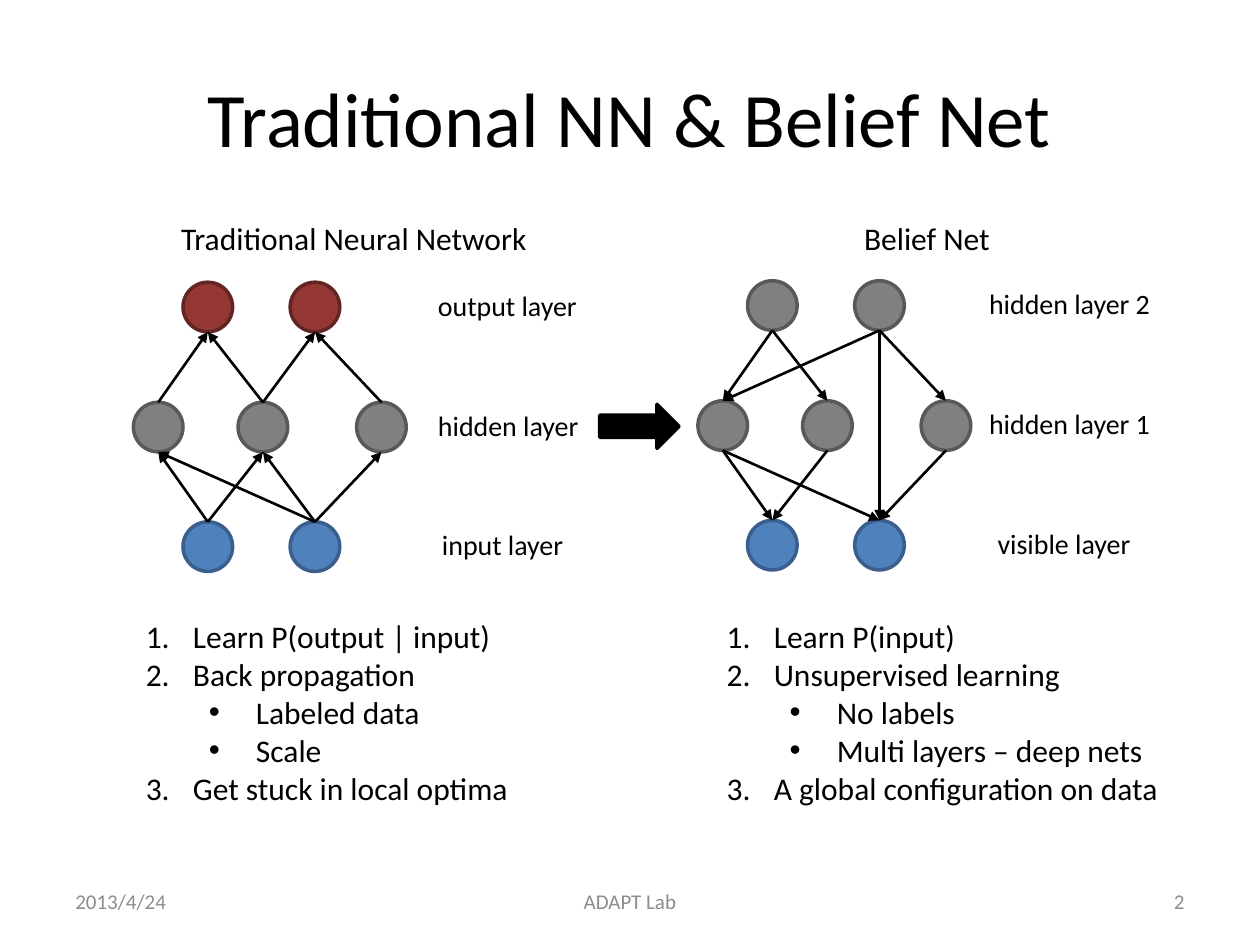
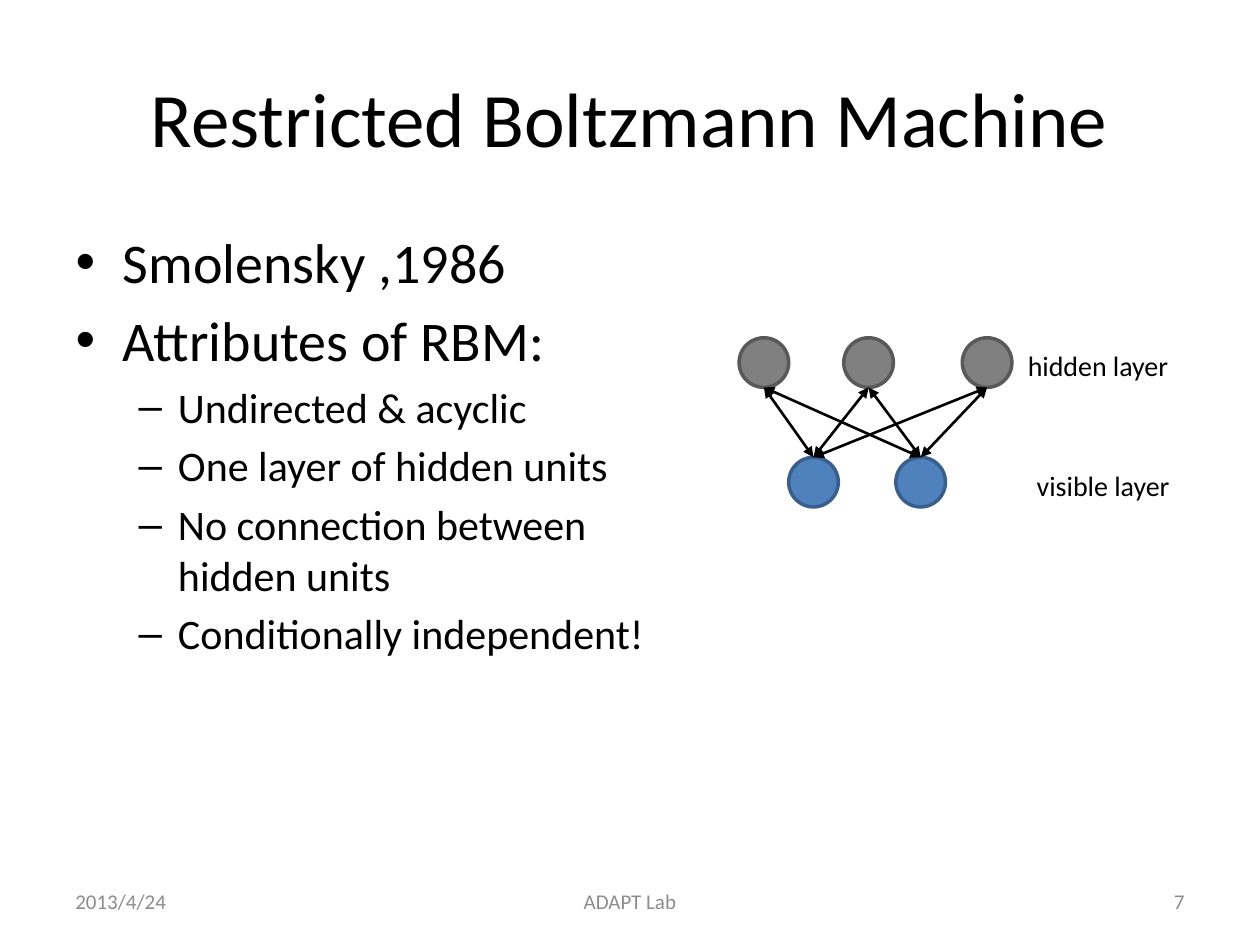
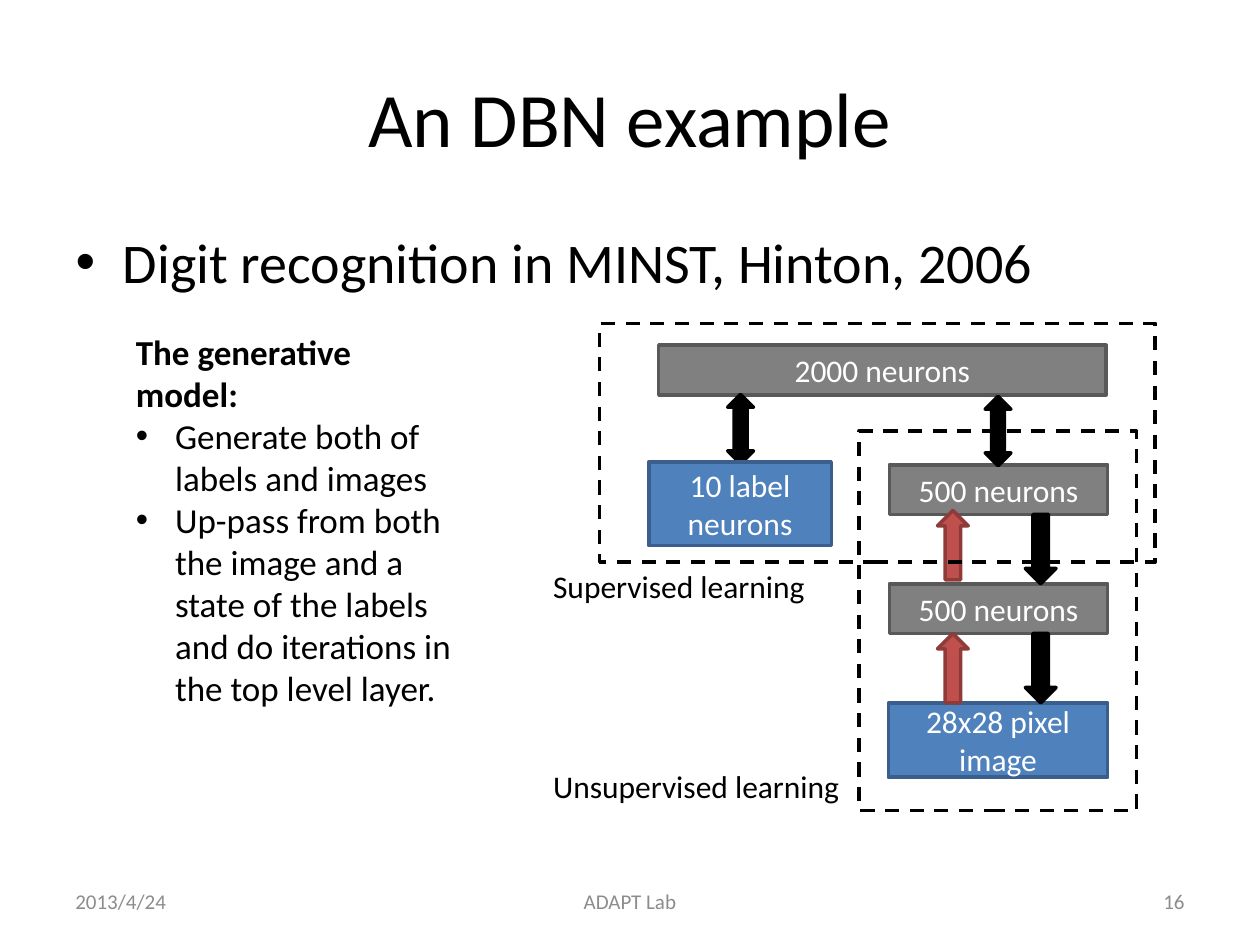
"""Build three slides on neural networks, belief nets and Boltzmann machines."""
from lxml.etree import SubElement
from pptx import Presentation
from pptx.dml.color import RGBColor
from pptx.enum.dml import MSO_LINE
from pptx.enum.shapes import MSO_CONNECTOR, MSO_SHAPE
from pptx.enum.text import MSO_ANCHOR, PP_ALIGN
from pptx.oxml.ns import qn
from pptx.util import Cm, Pt

FONT = "Calibri"
BLACK, WHITE, MUTED = "000000", "FFFFFF", "8C8C8C"
GRAY, BLUE = ("808080", "595959"), ("4F81BD", "3A5F8C")
DARK_RED, RED = ("953735", "632523"), ("C0504D", "8E3B39")
SOLID, DASHED = (BLACK, BLACK), (None, BLACK)


def fill_text(tf, paras, size, color=BLACK, align=PP_ALIGN.LEFT, anchor=MSO_ANCHOR.TOP, wrap=True):
    """Write paragraphs given as (words, bullet, left, hang, bold)."""
    tf.word_wrap = wrap
    tf.vertical_anchor = anchor
    for i, (words, bullet, left, hang, bold) in enumerate(paras):
        p = tf.paragraphs[0] if i == 0 else tf.add_paragraph()
        p.alignment = align
        if bullet:
            p.level = 1 if left > hang else 0
            pPr = p._p.get_or_add_pPr()
            pPr.set("marL", str(Cm(left)))
            pPr.set("indent", str(-Cm(hang)))
            if bullet == "1.":
                SubElement(pPr, qn("a:buFont"), typeface="+mj-lt")
                SubElement(pPr, qn("a:buAutoNum"), type="arabicPeriod")
            else:
                SubElement(pPr, qn("a:buFont"), typeface="Arial")
                SubElement(pPr, qn("a:buChar"), char=bullet)
        r = p.add_run()
        r.text = words
        r.font.name, r.font.size, r.font.bold = FONT, Pt(size), bold
        r.font.color.rgb = RGBColor.from_string(color)


def add_shape(s, kind, x, y, w, h, colors, label=""):
    """Add a filled or dashed shape, with an optional centred label."""
    sp = s.shapes.add_shape(kind, Cm(x), Cm(y), Cm(w), Cm(h))
    sp.shadow.inherit = False
    fill, line = colors
    if fill:
        sp.fill.solid()
        sp.fill.fore_color.rgb = RGBColor.from_string(fill)
    else:
        sp.fill.background()
        sp.line.dash_style = MSO_LINE.DASH
    sp.line.color.rgb = RGBColor.from_string(line)
    sp.line.width = Pt(2)
    if label:
        fill_text(sp.text_frame, [(label, "", 0, 0, False)], 18, WHITE,
                  PP_ALIGN.CENTER, MSO_ANCHOR.MIDDLE)


prs = Presentation()
prs.slide_width, prs.slide_height = Cm(25.4), Cm(19.05)

pages = [
    ("Traditional NN & Belief Net", "2", 0, []),
    ("Restricted Boltzmann Machine", "7", 12.42, [
        ("Smolensky ,1986", 0),
        ("Attributes of RBM:", 0),
        ("Undirected & acyclic", 1),
        ("One layer of hidden units", 1),
        ("No connection between hidden units", 1),
        ("Conditionally independent!", 1),
    ]),
    ("An DBN example", "16", 22.86, [("Digit recognition in MINST, Hinton, 2006", 0)]),
]
slides = []
for title, number, body_width, items in pages:
    s = prs.slides.add_slide(prs.slide_layouts[1 if items else 5])
    slides.append(s)
    sp = s.shapes.title
    sp.left, sp.top, sp.width, sp.height = Cm(1.27), Cm(0.76), Cm(22.86), Cm(3.18)
    fill_text(sp.text_frame, [(title, "", 0, 0, False)], 44,
              align=PP_ALIGN.CENTER, anchor=MSO_ANCHOR.MIDDLE)
    if items:
        sp = s.placeholders[1]
        sp.left, sp.top, sp.width, sp.height = Cm(1.27), Cm(4.45), Cm(body_width), Cm(12.57)
        tf = sp.text_frame
        for i, (words, level) in enumerate(items):
            p = tf.paragraphs[0] if i == 0 else tf.add_paragraph()
            p.level = level
            if i == 0:
                p.space_before = Pt(0)
            r = p.add_run()
            r.text = words
            r.font.name, r.font.size = FONT, Pt(24 if level else 32)
            r.font.color.rgb = RGBColor.from_string(BLACK)
    for words, x, w, align in [
        ("2013/4/24", 1.27, 5.93, PP_ALIGN.LEFT),
        ("ADAPT Lab", 8.68, 8.04, PP_ALIGN.CENTER),
        (number, 18.2, 5.93, PP_ALIGN.RIGHT),
    ]:
        sp = s.shapes.add_textbox(Cm(x), Cm(17.66), Cm(w), Cm(1.01))
        fill_text(sp.text_frame, [(words, "", 0, 0, False)], 12, MUTED, align, MSO_ANCHOR.MIDDLE)
nets, rbm, dbn = slides

NODE = 1
ROW_Y = {"t": 0, "m": 2.42, "b": 4.83}
NODE_X = {"t": (1, 3.16), "m": (0, 2.11, 4.5), "b": (1, 3.16)}
networks = [
    (nets, 2.69, 5.69, False, "m0t0 m1t0 m1t1 m2t1 b0m0 b0m1 b1m0 b1m2 b1m1", [
        ("t", DARK_RED, "output layer", 5.89, 3.35),
        ("m", GRAY, "hidden layer", 5.89, 3.5),
        ("b", BLUE, "input layer", 5.97, 3),
    ]),
    (nets, 14.07, 5.66, False, "t0m0 t0m1 t1m2 t1b1 m0b1 m2b1 m1b0 t1m0 m0b0", [
        ("t", GRAY, "hidden layer 2", 5.62, 3.78),
        ("m", GRAY, "hidden layer 1", 5.62, 3.78),
        ("b", BLUE, "visible layer", 5.79, 3.23),
    ]),
    (rbm, 14.9, 4.39, True, "b0m0 b0m1 b1m1 b1m2 b1m0 b0m2", [
        ("m", GRAY, "hidden layer", 5.57, 3.5),
        ("b", BLUE, "visible layer", 5.75, 3.23),
    ]),
]
for s, left, top, two_way, edges, layers in networks:
    for row, colors, label, label_x, label_width in layers:
        y = top + ROW_Y[row]
        for x in NODE_X[row]:
            add_shape(s, MSO_SHAPE.OVAL, left + x, y, NODE, NODE, colors)
        sp = s.shapes.add_textbox(Cm(left + label_x), Cm(y + 0.1 * two_way), Cm(label_width), Cm(0.94))
        fill_text(sp.text_frame, [(label, "", 0, 0, False)], 16, wrap=False)
    for edge in edges.split():
        row, i, end_row, j = edge
        down = ROW_Y[end_row] > ROW_Y[row]
        c = s.shapes.add_connector(
            MSO_CONNECTOR.STRAIGHT,
            Cm(left + NODE_X[row][int(i)] + NODE / 2), Cm(top + ROW_Y[row] + NODE * down),
            Cm(left + NODE_X[end_row][int(j)] + NODE / 2), Cm(top + ROW_Y[end_row] + NODE * (not down)))
        c.line.color.rgb = RGBColor.from_string(BLACK)
        c.line.width = Pt(1.5)
        ln = c.line._get_or_add_ln()
        if two_way:
            SubElement(ln, qn("a:headEnd"), type="triangle")
        SubElement(ln, qn("a:tailEnd"), type="triangle")
        SubElement(c._element.spPr, qn("a:effectLst"))

add_shape(nets, MSO_SHAPE.RIGHT_ARROW, 12.09, 8.15, 1.6, 0.89, SOLID)

captions = [
    (nets, "Traditional Neural Network", 3.4, 4.29, 7.57),
    (nets, "Belief Net", 17.17, 4.29, 3.07),
    (dbn, "Unsupervised learning", 10.9, 15.34, 6.35),
    (dbn, "Supervised learning", 10.9, 11.3, 5.64),
]
for s, words, x, y, w in captions:
    sp = s.shapes.add_textbox(Cm(x), Cm(y), Cm(w), Cm(1.02))
    fill_text(sp.text_frame, [(words, "", 0, 0, False)], 18, wrap=False)

number, dot = ("1.", 0.95, 0.95, False), ("•", 2.22, 0.95, False)
comparisons = [
    (2.69, 7.9, ["Learn P(output | input)", "Back propagation", "Labeled data", "Scale",
                 "Get stuck in local optima"]),
    (14.4, 9.32, ["Learn P(input)", "Unsupervised learning", "No labels",
                  "Multi layers – deep nets", "A global configuration on data"]),
]
for x, w, points in comparisons:
    sp = nets.shapes.add_textbox(Cm(x), Cm(12.32), Cm(w), Cm(4.11))
    styles = [number, number, dot, dot, number]
    fill_text(sp.text_frame, [(words, *style) for words, style in zip(points, styles)], 18, wrap=False)

dbn_parts = [
    (MSO_SHAPE.RECTANGLE, 13.28, 6.96, 9.02, 1, GRAY, "2000 neurons"),
    (MSO_SHAPE.RECTANGLE, 17.93, 9.37, 4.4, 1, GRAY, "500 neurons"),
    (MSO_SHAPE.RECTANGLE, 17.93, 11.77, 4.4, 1, GRAY, "500 neurons"),
    (MSO_SHAPE.RECTANGLE, 17.91, 14.17, 4.42, 1.5, BLUE, "28x28 pixel image"),
    (MSO_SHAPE.DOWN_ARROW, 20.67, 12.77, 0.62, 1.4, SOLID, ""),
    (MSO_SHAPE.DOWN_ARROW, 20.67, 10.37, 0.62, 1.4, SOLID, ""),
    (MSO_SHAPE.UP_DOWN_ARROW, 19.86, 7.99, 0.52, 1.4, SOLID, ""),
    (MSO_SHAPE.UP_ARROW, 18.9, 12.77, 0.62, 1.4, RED, ""),
    (MSO_SHAPE.UP_ARROW, 18.9, 10.29, 0.62, 1.4, RED, ""),
    (MSO_SHAPE.UP_DOWN_ARROW, 14.67, 7.95, 0.52, 1.4, SOLID, ""),
    (MSO_SHAPE.RECTANGLE, 13.08, 9.31, 3.68, 1.69, BLUE, "10 label neurons"),
    (MSO_SHAPE.RECTANGLE, 17.32, 8.69, 5.59, 7.65, DASHED, ""),
    (MSO_SHAPE.RECTANGLE, 12.09, 6.52, 11.2, 4.81, DASHED, ""),
]
for part in dbn_parts:
    add_shape(dbn, *part)

sp = dbn.shapes.add_textbox(Cm(2.49), Cm(6.53), Cm(7.01), Cm(7.95))
fill_text(sp.text_frame, [
    ("The generative model:", "", 0, 0, True),
    ("Generate both of labels and images", "•", 0.79, 0.79, False),
    ("Up-pass from both the image and a state of the labels and do iterations in the top level layer.",
     "•", 0.79, 0.79, False),
], 20)

prs.save("out.pptx")
